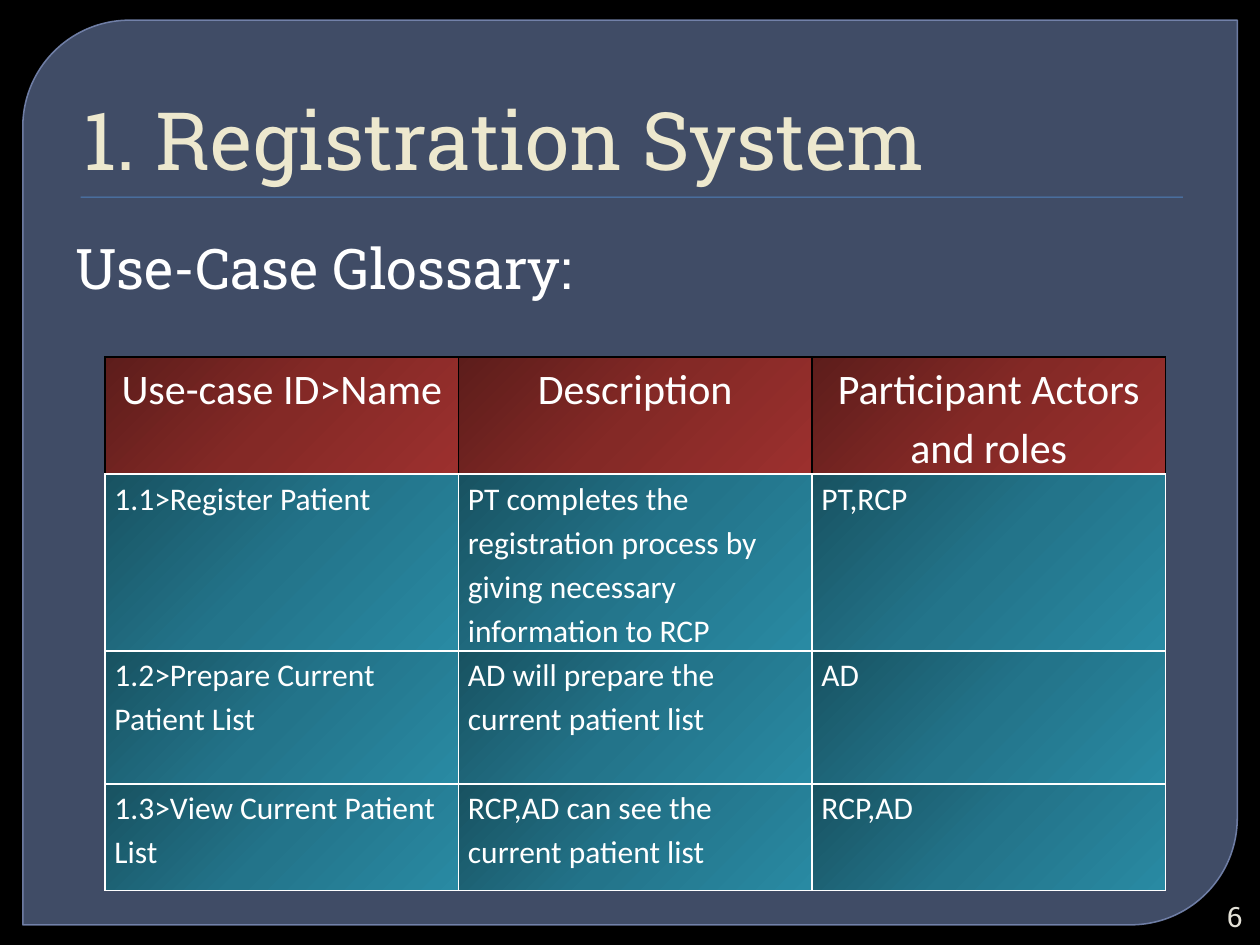
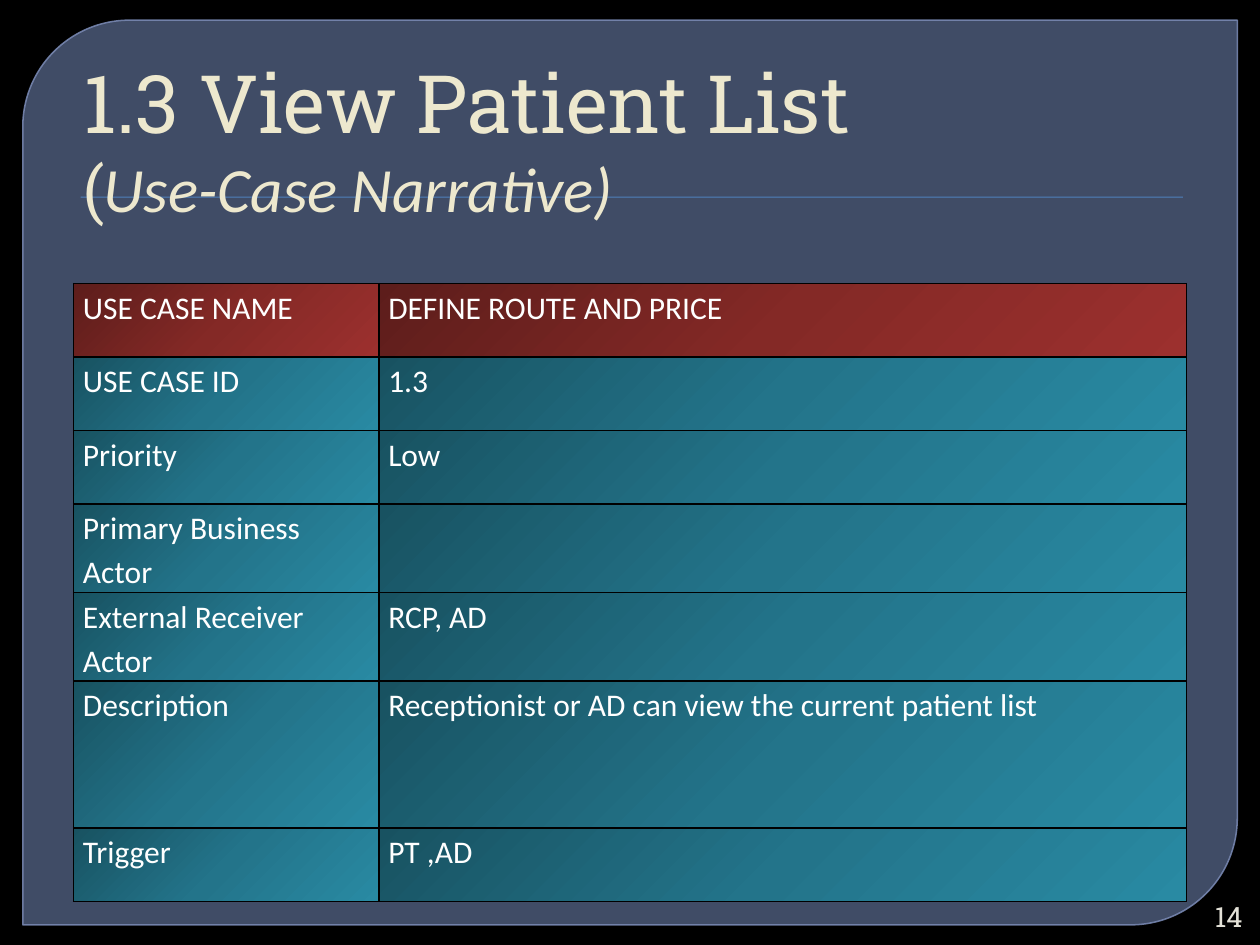
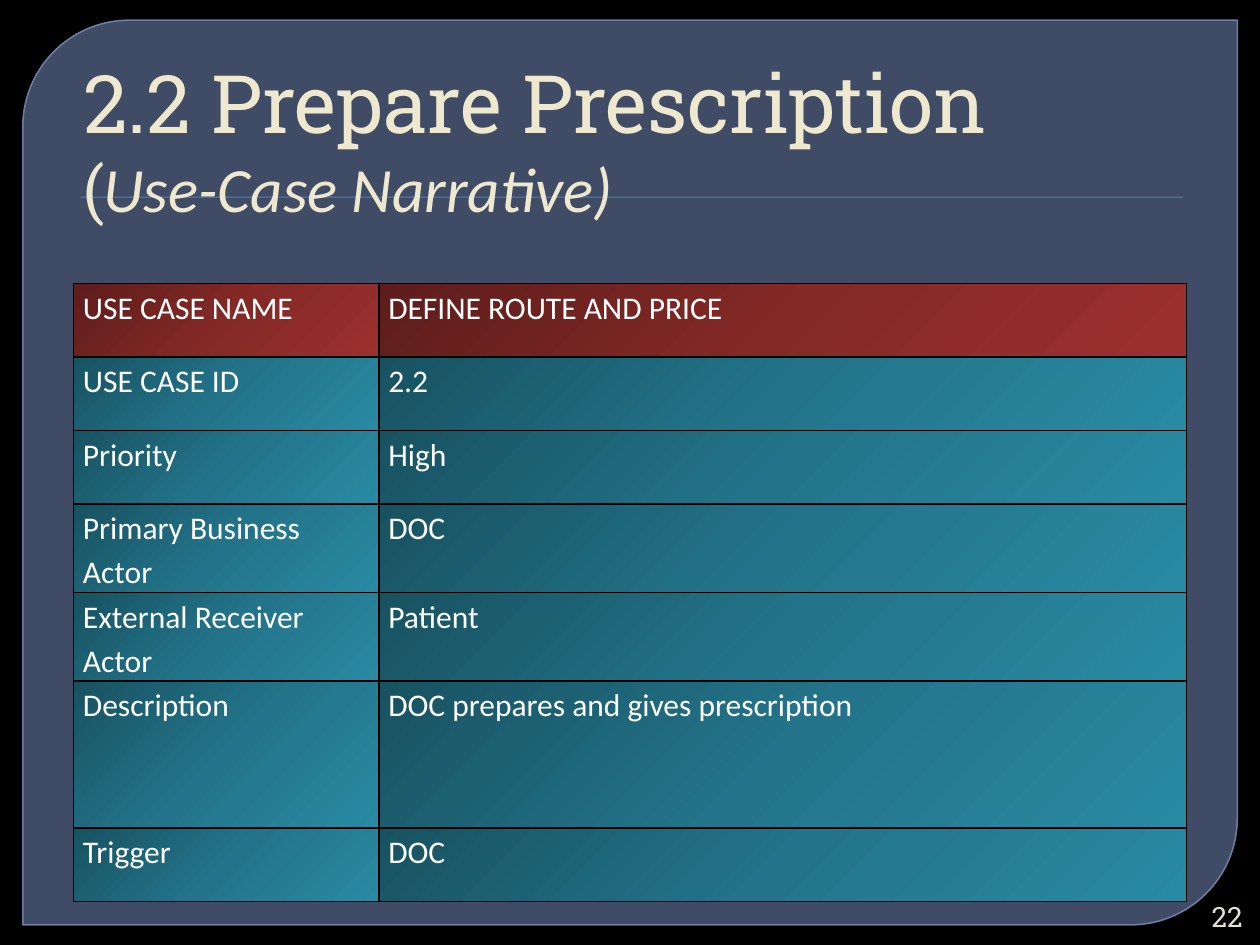
from dataclasses import dataclass
from typing import NamedTuple

from lxml.etree import SubElement as Sub
from pptx import Presentation
from pptx.dml.color import RGBColor as Rgb
from pptx.enum.shapes import MSO_SHAPE as Shape
from pptx.enum.text import MSO_ANCHOR as Anchor, MSO_AUTO_SIZE as Fit, PP_ALIGN as Align
from pptx.oxml.ns import qn
from pptx.util import Pt


@dataclass(frozen=True)
class Theme:
    slab: str = "Roboto Slab"
    sans: str = "Calibri"
    back: str = "000000"
    panel: str = "63759D"
    edge: str = "7989B3"
    rule: str = "4F81BD"
    title: str = "EDE8CE"
    text: str = "FFFFFF"
    page: str = "E3E1D7"
    black: str = "000000"
    white: str = "FFFFFF"
    red: tuple[str, ...] = ("5D1D1B", "842926", "9C302E")
    teal: tuple[str, ...] = ("185261", "23748A", "298AA3")
    title_size: float = 46
    sub_size: float = 36
    lead_size: float = 32
    head_size: float = 24
    cell_size: float = 18
    page_size: float = 16


THEME = Theme()


class Box(NamedTuple):
    left: float
    top: float
    width: float
    height: float

    def points(self) -> tuple:
        return tuple(Pt(v) for v in self)


@dataclass(frozen=True)
class Grid:
    left: float
    top: float
    cols: tuple[float, ...]
    heights: tuple[float, ...]
    rows: tuple[tuple[str, ...], ...]
    line: str
    head_size: float = THEME.cell_size
    head_align: Align = Align.LEFT


@dataclass(frozen=True)
class Page:
    title: str
    number: int
    grid: Grid
    lead: str = ""
    sub: str = ""


PANEL = Box(13, 11.5, 694, 517)
RULE = Box(46, 112.3, 630, 0.72)
TITLE = Box(36, 20, 648, 90)
TALL_TITLE = Box(36, 20, 648, 112.5)
LEAD = Box(36, 129.6, 648, 356.4)
NUMBER = Box(680.4, 512.6, 36.7, 21.6)

LABELS = ("USE CASE NAME", "USE CASE ID", "Priority", "Primary Business Actor",
          "External Receiver Actor", "Description", "Trigger")


def story(title: str, number: int, *values: str) -> Page:
    """Describe a use-case narrative page from its values, one per label."""
    rows = tuple(zip(LABELS, ("DEFINE ROUTE AND PRICE", *values)))
    heights = (42, 42, 42, 50.5, 50.5, 84, 42)
    grid = Grid(42, 162, (174.5, 461.5), heights, rows, THEME.black)
    return Page(title, number, grid, sub="Use-Case Narrative)")


GLOSSARY = Grid(
    60, 204, (202, 202, 202), (67, 101, 76, 61),
    (("Use-case ID>Name", "Description", "Participant Actors and roles"),
     ("1.1>Register Patient",
      "PT completes the registration process by giving necessary information to RCP",
      "PT,RCP"),
     ("1.2>Prepare Current Patient List", "AD will prepare the current patient list", "AD"),
     ("1.3>View Current Patient List", "RCP,AD can see the current patient list", "RCP,AD")),
    THEME.white, THEME.head_size, Align.CENTER)

PAGES = (
    Page("1. Registration System", 6, GLOSSARY, lead="Use-Case Glossary:"),
    story("1.3 View Patient List", 14, "1.3", "Low", "", "RCP, AD",
          "Receptionist or AD can view the current patient list", "PT ,AD"),
    story("2.2 Prepare Prescription", 22, "2.2", "High", "DOC", "Patient",
          "DOC prepares and gives prescription", "DOC"),
)


def style(font, name: str, size: float, color: str) -> None:
    font.name, font.size = name, Pt(size)
    font.color.rgb = Rgb.from_string(color)


def add_frame(slide, layout) -> None:
    """Draw the panel and rule, then hand them to the layout all slides share."""
    panel = slide.shapes.add_shape(Shape.ROUND_2_DIAG_RECTANGLE, *PANEL.points())
    panel.adjustments[0], panel.adjustments[1] = 0.118, 0
    rule = slide.shapes.add_shape(Shape.RECTANGLE, *RULE.points())
    rule.line.fill.background()
    for shape, color in ((panel, THEME.panel), (rule, THEME.rule)):
        shape.shadow.inherit = False
        shape.fill.solid()
        shape.fill.fore_color.rgb = Rgb.from_string(color)
    panel.line.color.rgb = Rgb.from_string(THEME.edge)
    panel.line.width = Pt(0.87)
    for color, alpha in zip(panel.element.iter(qn("a:srgbClr")), (65, 88)):
        Sub(color, qn("a:alpha"), val=str(alpha * 1000))
    first = layout.placeholders[0].element
    for shape in (panel, rule):
        first.addprevious(shape.element)


def set_title(slide, page: Page) -> None:
    title = slide.shapes.title
    box = TALL_TITLE if page.sub else TITLE
    title.left, title.top, title.width, title.height = box.points()
    frame = title.text_frame
    frame.text = f"{page.title}\v(" if page.sub else page.title
    frame.auto_size = Fit.NONE
    frame.vertical_anchor = Anchor.BOTTOM
    para = frame.paragraphs[0]
    para.alignment = Align.LEFT
    props = para.element.get_or_add_pPr() if hasattr(para, "element") else para._p.get_or_add_pPr()
    props.set("marL", str(Pt(4.32)))
    props.set("indent", "0")
    for run, size in zip(para.runs, (THEME.title_size, THEME.sub_size)):
        style(run.font, THEME.slab, size, THEME.title)
    if page.sub:
        run = para.add_run()
        run.text = page.sub
        style(run.font, THEME.sans, THEME.sub_size, THEME.title)
        run.font.italic = True


def add_text(slide, box: Box, text: str, size: float, color: str,
             align: Align = Align.LEFT, anchor: Anchor = Anchor.TOP) -> None:
    frame = slide.shapes.add_textbox(*box.points()).text_frame
    frame.word_wrap = True
    frame.vertical_anchor = anchor
    frame.text = text
    para = frame.paragraphs[0]
    para.alignment = align
    style(para.runs[0].font, THEME.slab, size, color)


def paint(cell, shades: tuple[str, ...], lines: dict[str, str]) -> None:
    """Give a cell its borders and a diagonal gradient."""
    props = cell._tc.get_or_add_tcPr()
    for side, color in lines.items():
        line = Sub(props, qn(f"a:ln{side}"), w=str(Pt(1)))
        Sub(Sub(line, qn("a:solidFill")), qn("a:srgbClr"), val=color)
    fill = Sub(props, qn("a:gradFill"), rotWithShape="1")
    stops = Sub(fill, qn("a:gsLst"))
    for place, shade in zip((0, 50, 100), shades):
        stop = Sub(stops, qn("a:gs"), pos=str(place * 1000))
        Sub(stop, qn("a:srgbClr"), val=shade)
    Sub(fill, qn("a:lin"), ang=str(45 * 60000), scaled="0")


def fill_cell(cell, text: str, size: float, align: Align) -> None:
    cell.margin_left = cell.margin_right = Pt(5.4)
    cell.margin_top = cell.margin_bottom = 0
    cell.text_frame.text = text
    para = cell.text_frame.paragraphs[0]
    para.alignment = align
    para.line_spacing = 1.15
    style(para.font, THEME.sans, size, THEME.text)
    for run in para.runs:
        style(run.font, THEME.sans, size, THEME.text)


def add_grid(slide, grid: Grid) -> None:
    box = Box(grid.left, grid.top, sum(grid.cols), sum(grid.heights))
    table = slide.shapes.add_table(len(grid.rows), len(grid.cols), *box.points()).table
    table.first_row = table.horz_banding = False
    for col, width in zip(table.columns, grid.cols):
        col.width = Pt(width)
    for row, height in zip(table.rows, grid.heights):
        row.height = Pt(height)
    for r, texts in enumerate(grid.rows):
        head = r == 0
        size = grid.head_size if head else THEME.cell_size
        align = grid.head_align if head else Align.LEFT
        shades = THEME.red if head else THEME.teal
        lines = dict.fromkeys("LRT", THEME.black if head else grid.line) | {"B": grid.line}
        for c, text in enumerate(texts):
            cell = table.cell(r, c)
            fill_cell(cell, text, size, align)
            paint(cell, shades, lines)


def main() -> None:
    deck = Presentation()
    deck.slide_width, deck.slide_height = Pt(720), Pt(540)
    back = deck.slide_master.background.fill
    back.solid()
    back.fore_color.rgb = Rgb.from_string(THEME.back)
    layout = deck.slide_layouts.get_by_name("Title Only")
    for i, page in enumerate(PAGES):
        slide = deck.slides.add_slide(layout)
        if i == 0:
            add_frame(slide, layout)
        set_title(slide, page)
        if page.lead:
            add_text(slide, LEAD, page.lead, THEME.lead_size, THEME.text)
        add_grid(slide, page.grid)
        add_text(slide, NUMBER, str(page.number), THEME.page_size, THEME.page,
                 Align.RIGHT, Anchor.MIDDLE)
    deck.save("out.pptx")


if __name__ == "__main__":
    main()
